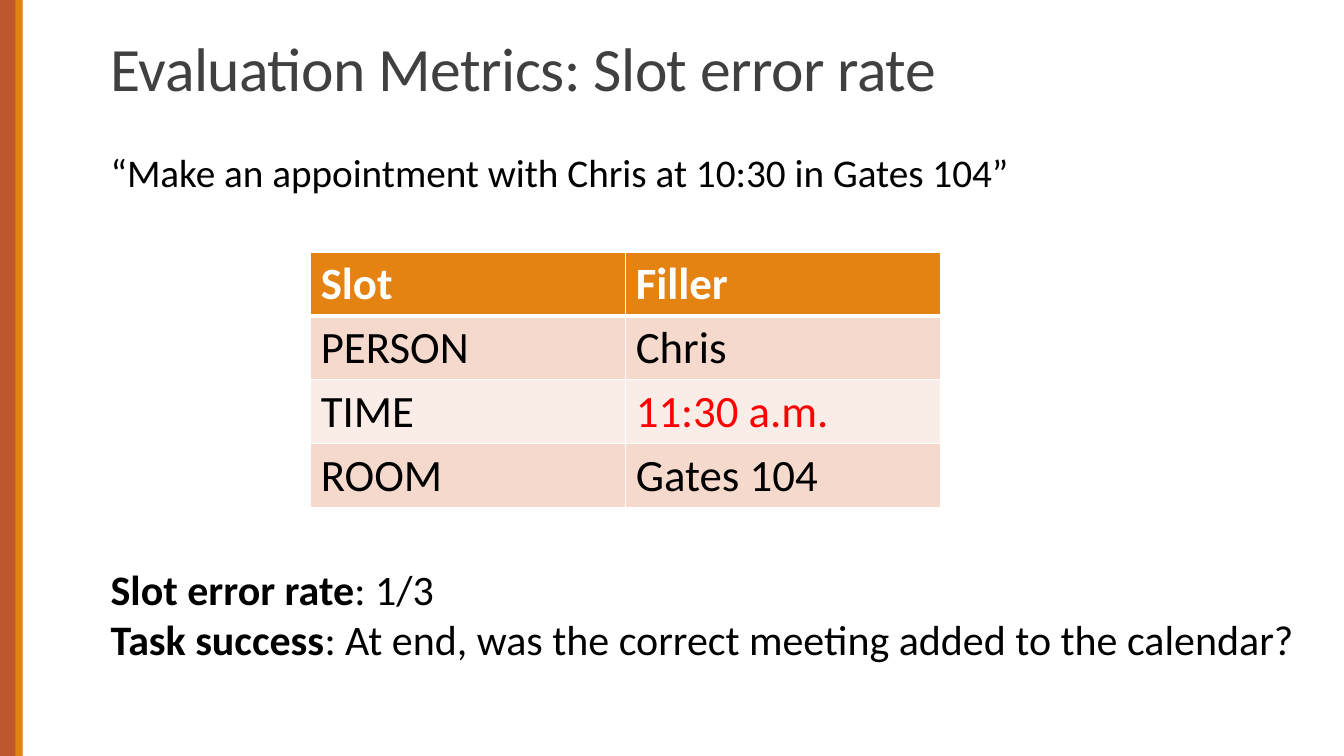
from lxml import etree
from pptx import Presentation
from pptx.dml.color import RGBColor
from pptx.enum import shapes, text
from pptx.oxml import ns
from pptx.util import Cm, Pt

COLORS = {
    "rust": "BD582C", "orange": "E48312", "title": "404040", "black": "000000",
    "white": "FFFFFF", "error": "FF0000", "band": "F5D9CC", "pale": "FAEDE7",
}
TITLE = [[("Evaluation Metrics: Slot error rate", False)]]
REQUEST = [[("“Make an appointment with Chris at 10:30 in Gates 104”", False)]]
METRICS = [
    [("Slot error rate", True), (": 1/3", False)],
    [("Task success", True),
     (": At end, was the correct meeting added to the calendar?", False)],
]
SLOTS = [("Slot", "Filler"), ("PERSON", "Chris"),
         ("TIME", "11:30 a.m."), ("ROOM", "Gates 104")]
WRONG = "11:30 a.m."
STRIPES = [(0, 0.56, "rust"), (0.39, 0.18, "orange")]
COL_W, ROW_H = 7.94, 1.61


def rgb(name):
    return RGBColor.from_string(COLORS[name])


def write(tf, paragraphs, size, color="black", spacing=None, track=None):
    tf.word_wrap = True
    for i, runs in enumerate(paragraphs):
        p = tf.paragraphs[0] if i == 0 else tf.add_paragraph()
        if spacing:
            p.line_spacing = spacing
        for words, bold in runs:
            r = p.add_run()
            r.text = words
            r.font.name = "Calibri"
            r.font.size = Pt(size)
            r.font.bold = bold
            r.font.color.rgb = rgb(color)
            if track:
                r.font._element.set("spc", str(track))


def add_text(s, box, paragraphs, anchor=text.MSO_ANCHOR.TOP, **fmt):
    tf = s.shapes.add_textbox(*map(Cm, box)).text_frame
    tf.vertical_anchor = anchor
    write(tf, paragraphs, **fmt)


def add_borders(cell, header):
    tc_pr = cell._tc.get_or_add_tcPr()
    for side in "LRTB":
        width = Pt(3 if header and side == "B" else 1)
        ln = etree.SubElement(tc_pr, ns.qn(f"a:ln{side}"), w=str(int(width)))
        fill = etree.SubElement(ln, ns.qn("a:solidFill"))
        etree.SubElement(fill, ns.qn("a:srgbClr"), val=COLORS["white"])


def add_slot_table(s):
    rows, cols = len(SLOTS), len(SLOTS[0])
    table = s.shapes.add_table(rows, cols, Cm(7.83), Cm(6.35),
                               Cm(cols * COL_W), Cm(rows * ROW_H)).table
    for col in table.columns:
        col.width = Cm(COL_W)
    for i, values in enumerate(SLOTS):
        table.rows[i].height = Cm(ROW_H)
        header = i == 0
        fill = "orange" if header else "band" if i % 2 else "pale"
        for j, value in enumerate(values):
            cell = table.cell(i, j)
            add_borders(cell, header)
            cell.fill.solid()
            cell.fill.fore_color.rgb = rgb(fill)
            color = "white" if header else "error" if value == WRONG else "black"
            write(cell.text_frame, [[(value, header)]], size=32, color=color)


def main():
    prs = Presentation()
    prs.slide_width, prs.slide_height = Cm(33.87), Cm(19.05)
    s = prs.slides.add_slide(prs.slide_layouts[6])
    for left, width, color in STRIPES:
        sp = s.shapes.add_shape(shapes.MSO_SHAPE.RECTANGLE,
                                Cm(left), 0, Cm(width), prs.slide_height)
        sp.shadow.inherit = False
        sp.fill.solid()
        sp.fill.fore_color.rgb = rgb(color)
        sp.line.fill.background()
    add_text(s, (2.54, 0.64, 31.12, 2.11), TITLE, text.MSO_ANCHOR.BOTTOM,
             size=44, color="title", spacing=0.85, track=-40)
    add_text(s, (2.54, 3.61, 25.2, 1.45), REQUEST, size=28)
    add_slot_table(s)
    add_text(s, (2.54, 14.07, 31.32, 2.82), METRICS, size=30)
    prs.save("out.pptx")


if __name__ == "__main__":
    main()
